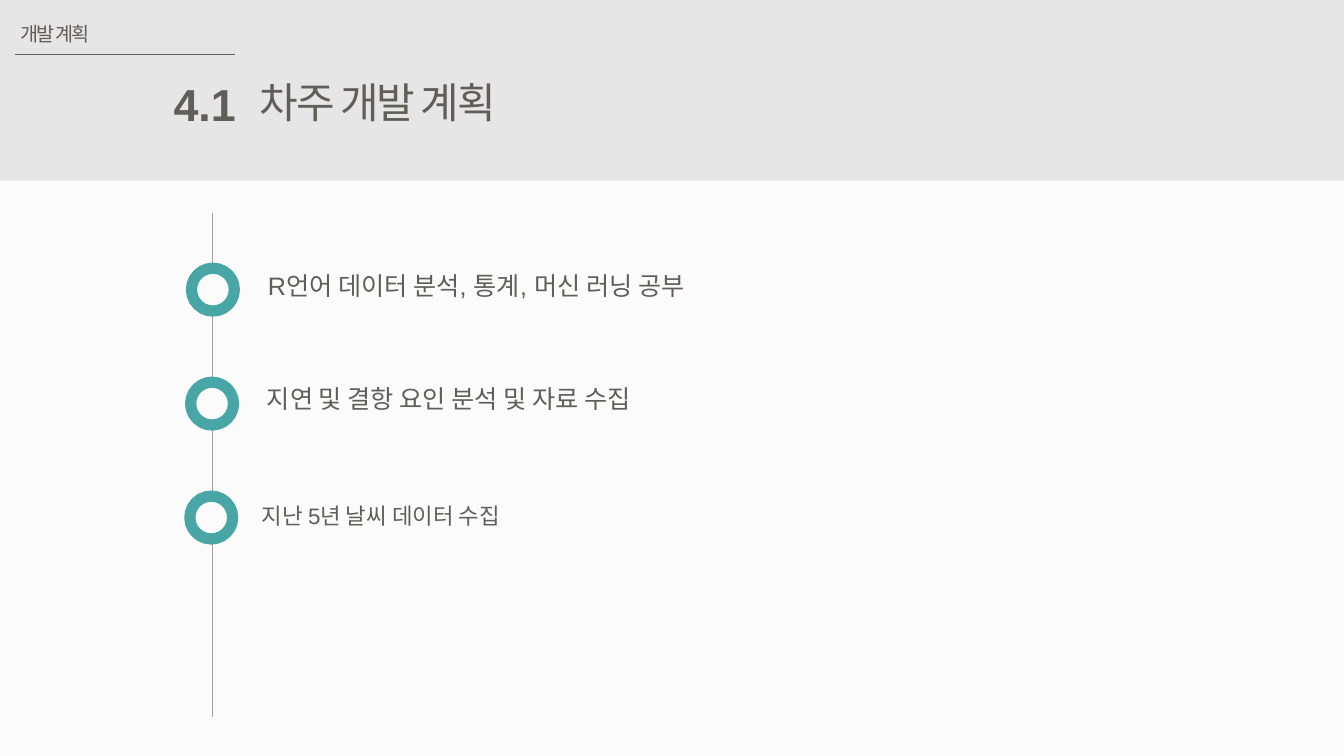
from lxml.etree import SubElement
from pptx import Presentation
from pptx.dml.color import RGBColor
from pptx.enum.shapes import MSO_CONNECTOR, MSO_SHAPE
from pptx.enum.text import MSO_AUTO_SIZE, PP_ALIGN
from pptx.oxml.ns import qn
from pptx.util import Pt

COLORS = {
    "background": "FBFBFB",
    "band": "E7E6E6",
    "text": "5F5E58",
    "timeline": "A1A099",
    "ring": "49A6A6",
}
LATIN, KOREAN = "Arial", "Noto Sans CJK KR"
WIDTH, HEIGHT = 960, 540

# text, box (left, top, width, height), format
HEADINGS = [
    ("개발 계획", (7.9, 12.2, 67.7, 24.5), {"size": 14, "spacing": -1.5}),
    ("4.1", (116.6, 51.1, 59, 46), {"size": 32, "bold": True, "align": PP_ALIGN.RIGHT}),
    ("차주 개발 계획", (178.6, 51.1, 214.6, 43.9),
     {"size": 30, "font": KOREAN, "spacing": -1.5}),
]
# text, box, size
PLANS = [
    ("R언어 데이터 분석, 통계, 머신 러닝 공부", (184.3, 189.4, 340.6, 28.8), 18),
    ("지연 및 결항 요인 분석 및 자료 수집", (183.6, 270, 314.6, 28.8), 18),
    ("지난 5년 날씨 데이터 수집", (180, 355, 203, 26.6), 16),
]
BAND_HEIGHT = 129
TIMELINE_X, TIMELINE_TOP, TIMELINE_BOTTOM = 152, 152, 512.5
RING_SIZE, RING_LEFT, RING_TOP = 30.6, 136.8, 191.6
RING_SHIFT, RING_STEP = -0.6, 81.4


def rgb(name):
    return RGBColor.from_string(COLORS[name])


def add_text(page, text, area, size, font=LATIN, bold=False, spacing=0,
             align=PP_ALIGN.LEFT):
    box = page.shapes.add_textbox(*map(Pt, area))
    box.text_frame.word_wrap = False
    box.text_frame.auto_size = MSO_AUTO_SIZE.SHAPE_TO_FIT_TEXT
    para = box.text_frame.paragraphs[0]
    para.alignment = align
    span = para.add_run()
    span.text = text
    span.font.size = Pt(size)
    span.font.name = font
    span.font.bold = bold
    span.font.color.rgb = rgb("text")
    properties = span.font._element
    SubElement(properties, qn("a:ea")).set("typeface", KOREAN)
    if spacing:
        properties.set("spc", str(round(spacing * 100)))


def add_line(page, start, end, color):
    line = page.shapes.add_connector(MSO_CONNECTOR.STRAIGHT, *map(Pt, start + end))
    line.line.color.rgb = rgb(color)
    line.line.width = Pt(0.5)
    SubElement(line._element.spPr, qn("a:effectLst"))


def add_filled(page, kind, area, fill, outline=None):
    shape = page.shapes.add_shape(kind, *map(Pt, area))
    shape.shadow.inherit = False
    shape.fill.solid()
    shape.fill.fore_color.rgb = rgb(fill)
    if outline:
        shape.line.color.rgb = rgb(outline)
        shape.line.width = Pt(8)
    else:
        shape.line.fill.background()


def main():
    deck = Presentation()
    deck.slide_width, deck.slide_height = Pt(WIDTH), Pt(HEIGHT)
    page = deck.slides.add_slide(deck.slide_layouts[6])
    page.background.fill.solid()
    page.background.fill.fore_color.rgb = rgb("background")

    add_filled(page, MSO_SHAPE.RECTANGLE, (0, 0, WIDTH, BAND_HEIGHT), "band")
    add_line(page, (10.8, 38.9), (167.8, 38.9), "text")
    for text, area, style in HEADINGS:
        add_text(page, text, area, **style)

    add_line(page, (TIMELINE_X, TIMELINE_TOP), (TIMELINE_X, TIMELINE_BOTTOM), "timeline")
    for index, (text, area, size) in enumerate(PLANS):
        ring = (RING_LEFT + index * RING_SHIFT, RING_TOP + index * RING_STEP,
                RING_SIZE, RING_SIZE)
        add_filled(page, MSO_SHAPE.OVAL, ring, "background", outline="ring")
        add_text(page, text, area, size)

    deck.save("out.pptx")


if __name__ == "__main__":
    main()
